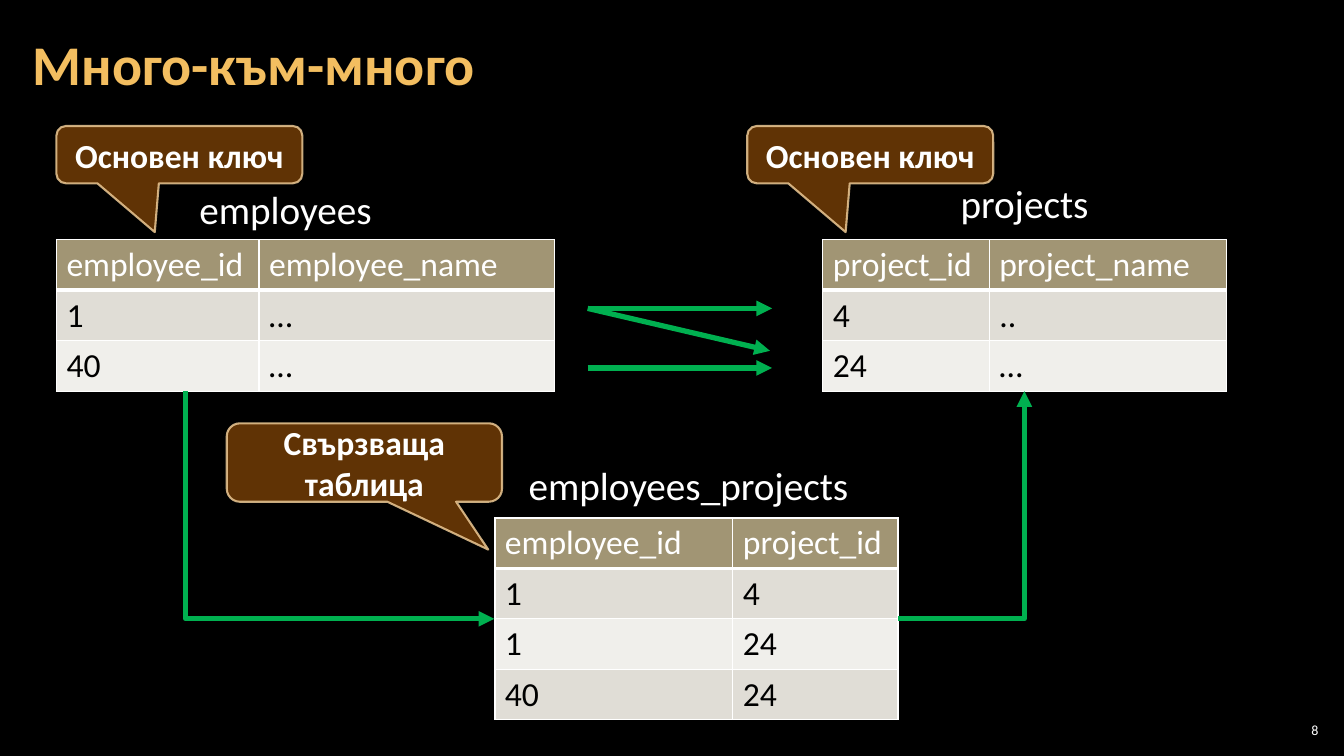
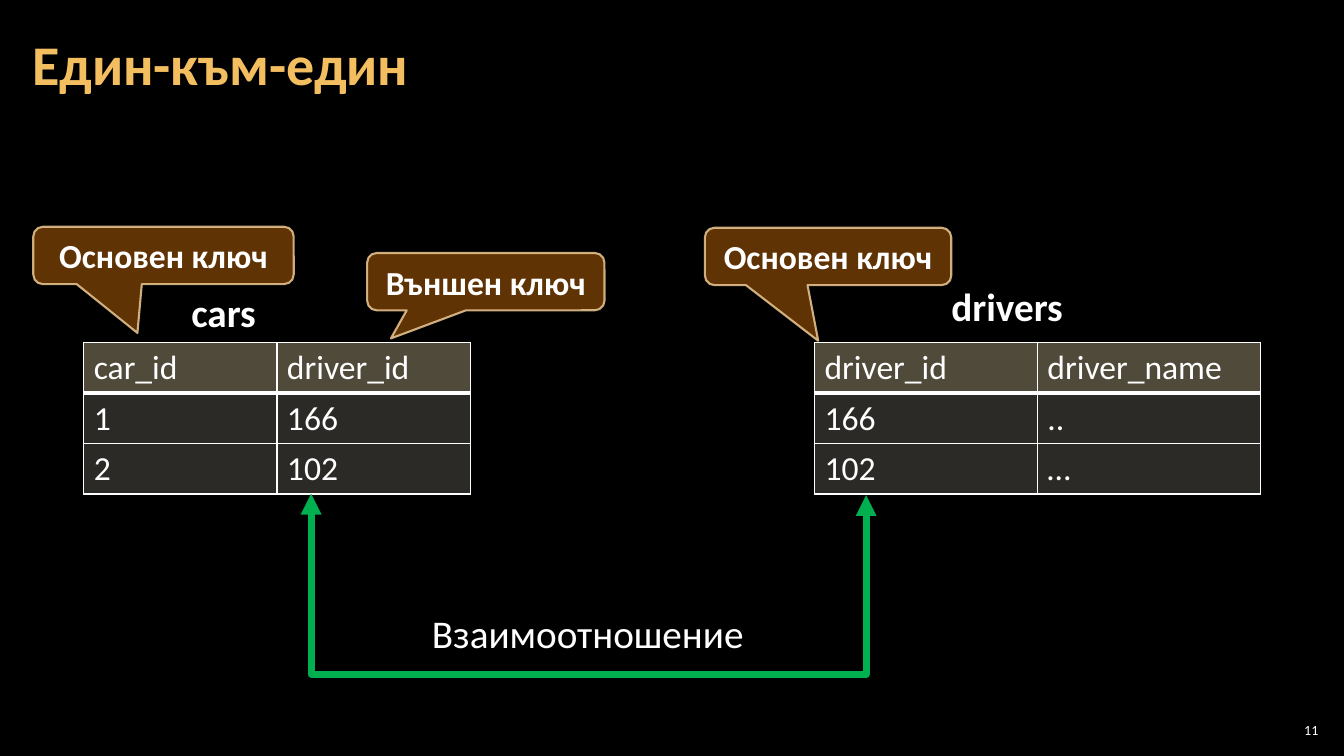
import dataclasses
import itertools

import lxml.etree
import pptx
import pptx.dml.color
import pptx.enum.shapes
import pptx.enum.text
import pptx.oxml.ns
import pptx.util

Pt = pptx.util.Pt
qn = pptx.oxml.ns.qn
Align = pptx.enum.text.PP_ALIGN
Anchor = pptx.enum.text.MSO_ANCHOR
Connector = pptx.enum.shapes.MSO_CONNECTOR


@dataclasses.dataclass(frozen=True)
class TableStyle:
    header: tuple
    bands: tuple
    body_text: str


@dataclasses.dataclass(frozen=True)
class Theme:
    font: str = "Calibri"
    background: str = "000000"
    title: str = "F3BE60"
    text: str = "FFFFFF"
    arrow: str = "00B050"
    callout: tuple = ("663606", 95)
    callout_line: tuple = ("F8D49E", 80)
    border: str = "FFFFFF"
    title_size: int = 40
    label_size: int = 28
    body_size: int = 24
    number_size: int = 10
    row_height: int = 36
    light: TableStyle = TableStyle(
        ("A19574", 100), (("E0DDD6", 100), ("F0EFEB", 100)), "000000")
    dark: TableStyle = TableStyle(("A19574", 50), (("D9D5C7", 20),), "FFFFFF")


def rgb(color):
    return pptx.dml.color.RGBColor.from_string(color)


def paint(fill, parent, color, opacity):
    fill.solid()
    fill.fore_color.rgb = rgb(color)
    if opacity < 100:
        tint = parent.find(qn("a:solidFill")).find(qn("a:srgbClr"))
        lxml.etree.SubElement(tint, qn("a:alpha"), val=str(opacity * 1000))


class SlideBuilder:
    def __init__(self, deck, theme):
        self.deck = deck
        self.theme = theme
        self.page = None

    def start(self, title, number):
        self.page = self.deck.slides.add_slide(self.deck.slide_layouts[6])
        paint(self.page.background.fill, None, self.theme.background, 100)
        self.text(title, 15, 3, 930, 90, self.theme.title_size, bold=True,
                  color=self.theme.title, insets=(8.5, 2.8), spacing=0.9,
                  anchor=Anchor.MIDDLE)
        self.text(str(number), 911, 514, 33.5, 15, self.theme.number_size,
                  align=Align.RIGHT, insets=(2.8, 2.8), anchor=Anchor.MIDDLE)

    def fill_para(self, para, content, size, color, bold=False, align=Align.LEFT):
        para.text = content
        para.alignment = align
        para.font.name = self.theme.font
        para.font.size = Pt(size)
        para.font.bold = bold
        para.font.color.rgb = rgb(color)

    def text(self, content, left, top, width, height, size, bold=False,
             color=None, align=Align.LEFT, insets=(7.2, 3.6), spacing=None,
             anchor=Anchor.TOP, wrap=True):
        box = self.page.shapes.add_textbox(Pt(left), Pt(top), Pt(width), Pt(height))
        frame = box.text_frame
        frame.word_wrap = wrap
        frame.vertical_anchor = anchor
        frame.margin_left = frame.margin_right = Pt(insets[0])
        frame.margin_top = frame.margin_bottom = Pt(insets[1])
        para = frame.paragraphs[0]
        self.fill_para(para, content, size, color or self.theme.text, bold, align)
        if spacing:
            para.line_spacing = spacing

    def label(self, content, left, top, width, bold=False):
        self.text(content, left, top, width, 41, self.theme.label_size, bold, wrap=False)

    def table(self, left, top, widths, rows, style):
        height = self.theme.row_height
        grid = self.page.shapes.add_table(
            len(rows), len(widths), Pt(left), Pt(top), Pt(sum(widths)),
            Pt(height * len(rows))).table
        grid.first_row = grid.horz_banding = False
        for column, width in zip(grid.columns, widths):
            column.width = Pt(width)
        fills = itertools.chain([style.header], itertools.cycle(style.bands))
        for index, (values, fill) in enumerate(zip(rows, fills)):
            grid.rows[index].height = Pt(height)
            color = style.body_text if index else self.theme.text
            for column, value in enumerate(values):
                cell = grid.cell(index, column)
                self.borders(cell, bottom=1 if index else 3)
                paint(cell.fill, cell._tc.tcPr, *fill)
                self.fill_para(cell.text_frame.paragraphs[0], value,
                               self.theme.body_size, color)

    def borders(self, cell, bottom):
        properties = cell._tc.get_or_add_tcPr()
        for side, width in (("L", 1), ("R", 1), ("T", 1), ("B", bottom)):
            line = lxml.etree.SubElement(properties, qn("a:ln" + side), w=str(Pt(width)))
            solid = lxml.etree.SubElement(line, qn("a:solidFill"))
            lxml.etree.SubElement(solid, qn("a:srgbClr"), val=self.theme.border)

    def callout(self, content, left, top, width, height=41, tip=(-0.1, 1.35)):
        shape = self.page.shapes.add_shape(
            pptx.enum.shapes.MSO_SHAPE.ROUNDED_RECTANGULAR_CALLOUT,
            Pt(left), Pt(top), Pt(width), Pt(height))
        shape.shadow.inherit = False
        shape.adjustments[0], shape.adjustments[1] = tip
        paint(shape.fill, shape.element.spPr, *self.theme.callout)
        shape.line.width = Pt(1.5)
        paint(shape.line.fill, shape.element.spPr.find(qn("a:ln")),
              *self.theme.callout_line)
        shape.text_frame.word_wrap = True
        shape.text_frame.vertical_anchor = Anchor.MIDDLE
        self.fill_para(shape.text_frame.paragraphs[0], content, self.theme.body_size,
                       self.theme.text, True, Align.CENTER)

    def arrow(self, start, end, kind=Connector.STRAIGHT, width=3.75, ends=("tailEnd",)):
        line = self.page.shapes.add_connector(
            kind, *(Pt(value) for value in (*start, *end)))
        line.line.color.rgb = rgb(self.theme.arrow)
        line.line.width = Pt(width)
        properties = line.element.spPr
        for name in ends:
            lxml.etree.SubElement(properties.find(qn("a:ln")), qn("a:" + name),
                                  type="triangle")
        lxml.etree.SubElement(properties, qn("a:effectLst"))
        return properties

    def corner_arrow(self, start, end):
        properties = self.arrow(start, end, Connector.ELBOW)
        properties.find(qn("a:prstGeom")).set("prst", "bentConnector2")
        return properties

    def turned(self, start, end):
        middle_x, middle_y = (start[0] + end[0]) / 2, (start[1] + end[1]) / 2
        half_x, half_y = (end[0] - start[0]) / 2, (end[1] - start[1]) / 2
        return ((middle_x + half_y, middle_y - half_x),
                (middle_x - half_y, middle_y + half_x))

    def turn(self, properties):
        properties.find(qn("a:xfrm")).set("rot", str(270 * 60000))

    def down_then_across(self, start, end):
        self.turn(self.corner_arrow(*self.turned(start, end)))

    def link_below(self, start, end, depth):
        properties = self.arrow(*self.turned(start, end), Connector.ELBOW, 5,
                                ("headEnd", "tailEnd"))
        self.turn(properties)
        guides = properties.find(qn("a:prstGeom")).find(qn("a:avLst"))
        share = round(depth / (end[1] - start[1]) * 100000)
        lxml.etree.SubElement(guides, qn("a:gd"), name="adj1", fmla=f"val {share}")


def many_to_many(builder):
    style = builder.theme.light
    builder.start("Много-към-много", 8)
    builder.table(40.3, 171.3, (144.7, 211),
                  (("employee_id", "employee_name"), ("1", "…"), ("40", "…")), style)
    builder.table(587.8, 171.3, (118.8, 169.2),
                  (("project_id", "project_name"), ("4", ".."), ("24", "…")), style)
    for start_y, end_x, end_y in ((220.3, 551.5, 220.3), (262.8, 551.5, 262.8),
                                  (220.3, 550, 250.6)):
        builder.arrow((419.8, start_y), (end_x, end_y))
    builder.label("employees", 135.4, 129, 139)
    builder.label("projects", 679, 124.6, 107)
    builder.table(353.5, 370, (170, 118),
                  (("employee_id", "project_id"), ("1", "4"), ("1", "24"), ("40", "24")),
                  style)
    builder.label("employees_projects", 370.5, 326.2, 245.5)
    builder.down_then_across((132.5, 279.4), (353, 442))
    builder.corner_arrow((641.5, 442), (731.7, 279.4))
    for left in (40.3, 533.8):
        builder.callout("Основен ключ", left, 90, 175.7)
    builder.callout("Свързваща таблица", 162, 302.4, 196.6, 56, (0.45, 1.11))


def one_to_one(builder):
    style = builder.theme.dark
    builder.start("Един-към-един", 11)
    builder.table(59.8, 244.8, (138, 138),
                  (("car_id", "driver_id"), ("1", "166"), ("2", "102")), style)
    builder.table(581.8, 244.8, (159.2, 159.2),
                  (("driver_id", "driver_name"), ("166", ".."), ("102", "…")), style)
    builder.label("cars", 129.6, 202.6, 61, True)
    builder.label("drivers", 672.5, 198, 95, True)
    builder.callout("Основен ключ", 23.8, 162, 186)
    builder.callout("Външен ключ", 262.3, 180.7, 169.5, tip=(-0.4, 0.99))
    builder.callout("Основен ключ", 503.5, 162.7, 176, tip=(-0.04, 1.47))
    builder.link_below((222.3, 352.6), (618.7, 353.6), 130)
    builder.text("Взаимоотношение", 293.8, 432, 252, 41, builder.theme.label_size,
                 align=Align.CENTER)


def main():
    deck = pptx.Presentation()
    deck.slide_width, deck.slide_height = Pt(960), Pt(540)
    builder = SlideBuilder(deck, Theme())
    many_to_many(builder)
    one_to_one(builder)
    deck.save("out.pptx")


if __name__ == "__main__":
    main()
